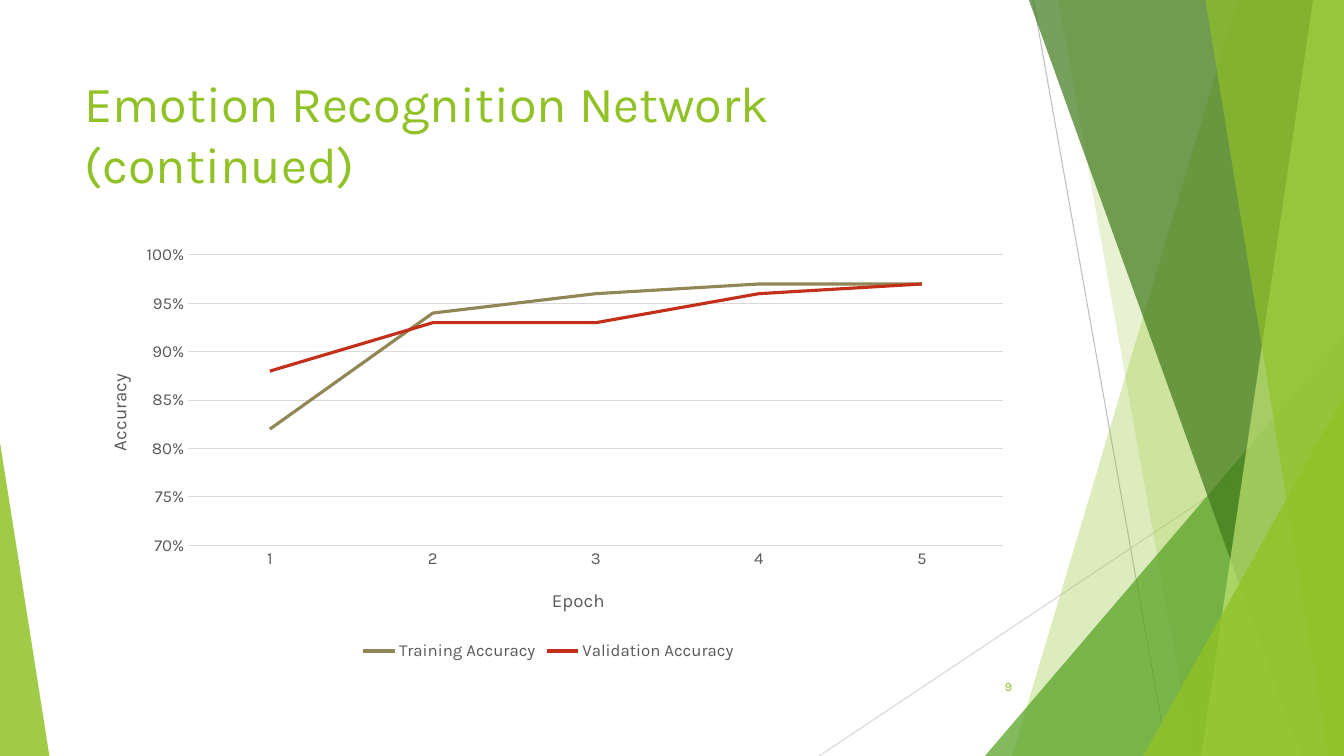
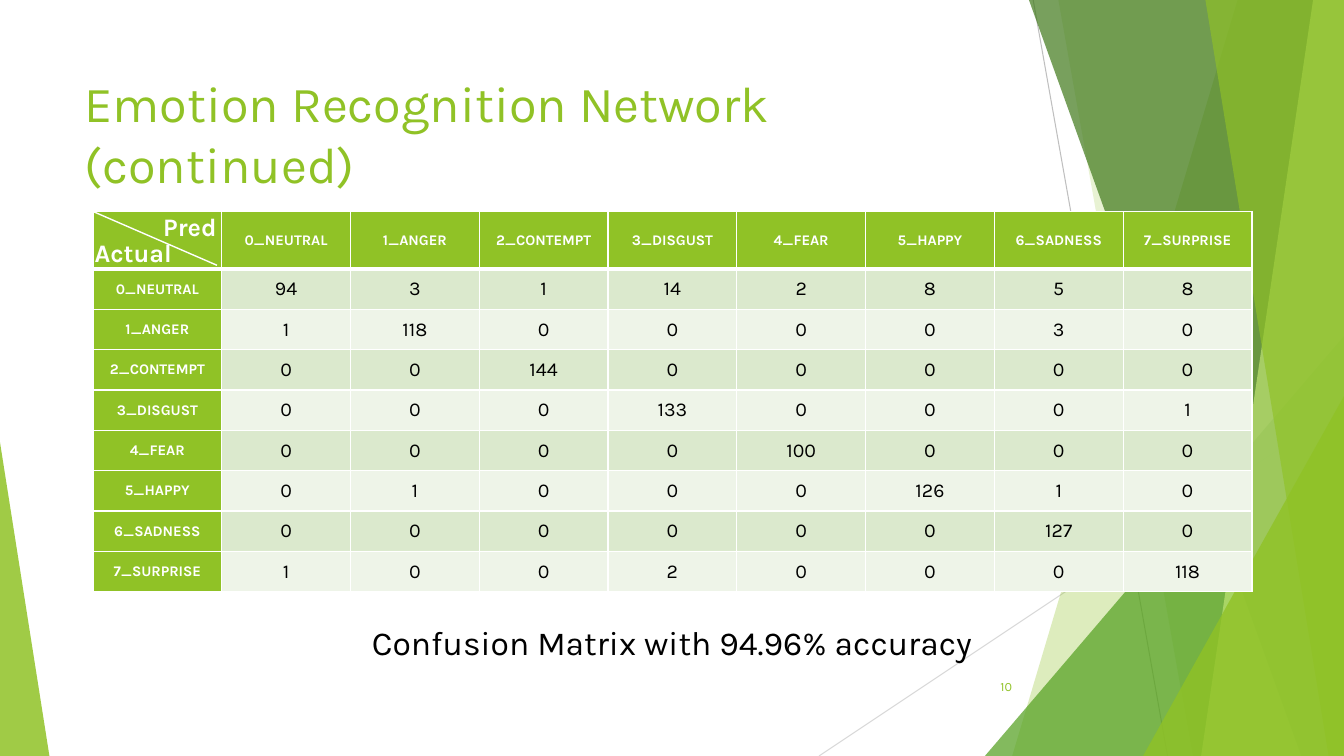
from pptx import Presentation
from pptx import util as u
from pptx.chart import data as cd
from pptx.dml import color
from pptx.enum import chart as ce, shapes, text
from pptx.oxml import parse_xml
from pptx.oxml.ns import nsdecls, qn

Pt = u.Pt
W, H = 960, 540
FONT = "Karla"
GREEN, LEAF, FOREST, LIME = "90C226", "54A021", "3F7819", "C0E474"
WHITE, BLACK, GRAY, RULE, EDGE = "FFFFFF", "000000", "595959", "D9D9D9", "BFBFBF"
BANDS = ("DBE9CD", "EEF4E8")
TITLE = "Emotion Recognition Network (continued)"
LABELS = ["0_NEUTRAL", "1_ANGER", "2_CONTEMPT", "3_DISGUST",
          "4_FEAR", "5_HAPPY", "6_SADNESS", "7_SURPRISE"]
MATRIX = [
    [94, 3, 1, 14, 2, 8, 5, 8],
    [1, 118, 0, 0, 0, 0, 3, 0],
    [0, 0, 144, 0, 0, 0, 0, 0],
    [0, 0, 0, 133, 0, 0, 0, 1],
    [0, 0, 0, 0, 100, 0, 0, 0],
    [0, 1, 0, 0, 0, 126, 1, 0],
    [0, 0, 0, 0, 0, 0, 127, 0],
    [1, 0, 0, 2, 0, 0, 0, 118],
]
ACCURACY = [
    ("Training Accuracy", (0.82, 0.94, 0.96, 0.97, 0.97), "918655"),
    ("Validation Accuracy", (0.88, 0.93, 0.93, 0.96, 0.97), "C42F1A"),
]


def rgb(value):
    return color.RGBColor.from_string(value)


def style_font(font, size, fill, bold=False):
    font.name, font.size, font.bold = FONT, Pt(size), bold
    font.color.rgb = rgb(fill)


def style_line(line, fill, width):
    line.color.rgb = rgb(fill)
    line.width = Pt(width)


def add_line(s, x1, y1, x2, y2, fill, width):
    c = s.shapes.add_connector(shapes.MSO_CONNECTOR.STRAIGHT, Pt(x1), Pt(y1), Pt(x2), Pt(y2))
    style_line(c.line, fill, width)
    c._element.spPr.append(parse_xml(f"<a:effectLst {nsdecls('a')}/>"))


def paint(sp, fill, opacity):
    sp.shadow.inherit = False
    sp.line.fill.background()
    sp.fill.solid()
    sp.fill.fore_color.rgb = rgb(fill)
    alpha = f"<a:alpha {nsdecls('a')} val='{opacity * 1000}'/>"
    sp._element.spPr.find(".//" + qn("a:srgbClr")).append(parse_xml(alpha))


def add_strip(s, top, bottom, fill, opacity):
    fb = s.shapes.build_freeform(Pt(top), 0)
    fb.add_line_segments([(Pt(x), Pt(y)) for x, y in ((W, 0), (W, H), (bottom, H))])
    paint(fb.convert_to_shape(), fill, opacity)


def add_corner(s, x, y, width, apex, fill, opacity):
    sp = s.shapes.add_shape(shapes.MSO_SHAPE.ISOSCELES_TRIANGLE,
                            Pt(x), Pt(y), Pt(width), Pt(H - y))
    sp.adjustments[0] = apex
    paint(sp, fill, opacity)


def add_text(s, content, x, y, w, h, size, fill, bold=False,
             align=text.PP_ALIGN.LEFT, anchor=text.MSO_ANCHOR.TOP):
    tf = s.shapes.add_textbox(Pt(x), Pt(y), Pt(w), Pt(h)).text_frame
    tf.word_wrap = True
    tf.vertical_anchor = anchor
    p = tf.paragraphs[0]
    p.text, p.alignment = content, align
    style_font(p.font, size, fill, bold)


def add_backdrop(s):
    add_line(s, 738, 0, 834, H, EDGE, 0.75)
    add_line(s, W, 290, 585, H, RULE, 0.75)
    add_strip(s, 884, 723, GREEN, 30)
    add_strip(s, 756, 852, GREEN, 20)
    add_corner(s, 703.5, 240, 256.5, 1, LEAF, 72)
    add_strip(s, 735, 929.5, FOREST, 70)
    add_strip(s, 938, 858, LIME, 70)
    add_strip(s, 861, 949, GREEN, 65)
    add_corner(s, 816.5, 283, 143.5, 1, GREEN, 80)
    add_corner(s, 0, 316, 35.3, 0, GREEN, 85)


def add_slide(prs, number):
    s = prs.slides.add_slide(prs.slide_layouts[6])
    add_backdrop(s)
    add_text(s, TITLE, 53.3, 48, 677, 104, 36, GREEN)
    add_text(s, str(number), 676, 476, 54, 29, 9, GREEN,
             align=text.PP_ALIGN.RIGHT, anchor=text.MSO_ANCHOR.MIDDLE)
    return s


def place(element, index, inner=False, **fractions):
    for old in element.findall(qn("c:layout")):
        element.remove(old)
    target = "<c:layoutTarget val='inner'/>" if inner else ""
    modes = "<c:xMode val='edge'/><c:yMode val='edge'/>"
    sizes = "".join(f"<c:{k} val='{v}'/>" for k, v in fractions.items())
    element.insert(index, parse_xml(
        f"<c:layout {nsdecls('c')}><c:manualLayout>{target}{modes}{sizes}"
        "</c:manualLayout></c:layout>"))


def style_axis(axis, title, x, y):
    tf = axis.axis_title.text_frame
    tf.text = title
    style_font(tf.paragraphs[0].font, 13.3, GRAY)
    place(axis.axis_title.element, 1, x=x, y=y)
    style_font(axis.tick_labels.font, 12, GRAY)
    axis.major_tick_mark = axis.minor_tick_mark = ce.XL_TICK_MARK.NONE
    return tf


def add_accuracy_chart(s):
    data = cd.CategoryChartData(number_format="0%")
    data.categories = ["1", "2", "3", "4", "5"]
    for name, values, _ in ACCURACY:
        data.add_series(name, values)
    chart = s.shapes.add_chart(ce.XL_CHART_TYPE.LINE, Pt(53.3), Pt(170),
                               Pt(677), Pt(305), data).chart
    style_font(chart.font, 10, BLACK)
    chart.has_title = False
    chart.has_legend = True
    chart.legend.position = ce.XL_LEGEND_POSITION.BOTTOM
    chart.legend.include_in_layout = False
    style_font(chart.legend.font, 12, GRAY)
    place(chart.element.find(".//" + qn("c:plotArea")), 0, inner=True,
          x=0.12, y=0.04, w=0.86, h=0.68)

    epochs, scale = chart.category_axis, chart.value_axis
    style_axis(epochs, "Epoch", 0.5, 0.81)
    style_line(epochs.format.line, RULE, 0.75)
    tf = style_axis(scale, "Accuracy", 0.03, 0.31)
    tf._txBody.bodyPr.set("rot", "-5400000")
    scale.format.line.fill.background()
    style_line(scale.major_gridlines.format.line, RULE, 0.75)
    scale.minimum_scale, scale.maximum_scale, scale.major_unit = 0.7, 1, 0.05
    scale.tick_labels.number_format = "0%"
    scale.tick_labels.number_format_is_linked = False

    for series, (_, _, fill) in zip(chart.plots[0].series, ACCURACY):
        series.smooth = False
        series.marker.style = ce.XL_MARKER_STYLE.NONE
        style_line(series.format.line, fill, 2.25)


def set_borders(cell, **widths):
    tcPr = cell._tc.get_or_add_tcPr()
    for i, side in enumerate("LRTB"):
        tcPr.insert(i, parse_xml(
            f"<a:ln{side} {nsdecls('a')} w='{Pt(widths.get(side, 1))}'><a:solidFill>"
            f"<a:srgbClr val='{WHITE}'/></a:solidFill></a:ln{side}>"))


def fill_cell(cell, content, fill, size, ink, bold):
    cell.fill.solid()
    cell.fill.fore_color.rgb = rgb(fill)
    cell.vertical_anchor = text.MSO_ANCHOR.MIDDLE
    p = cell.text_frame.paragraphs[0]
    p.text, p.alignment = str(content), text.PP_ALIGN.CENTER
    style_font(p.font, size, ink, bold)


def add_matrix(s):
    rows = [[""] + LABELS] + [[name] + counts for name, counts in zip(LABELS, MATRIX)]
    n = len(rows)
    table = s.shapes.add_table(n, n, Pt(66.4), Pt(151.2), Pt(92 * n), Pt(271.4)).table
    for i, row in enumerate(rows):
        table.columns[i].width = Pt(92)
        table.rows[i].height = Pt(28.8 if i else 41)
        for j, content in enumerate(row):
            cell = table.cell(i, j)
            if i and j:
                fill_cell(cell, content, BANDS[(i - 1) % 2], 14, BLACK, False)
            else:
                fill_cell(cell, content, GREEN, 10.5, WHITE, True)
            set_borders(cell, T=3 if i == 1 else 1, B=1 if i else 3)


def main():
    prs = Presentation()
    prs.slide_width, prs.slide_height = Pt(W), Pt(H)

    s = add_slide(prs, 9)
    add_accuracy_chart(s)

    s = add_slide(prs, 10)
    add_matrix(s)
    add_line(s, 64, 150, 155, 189.5, WHITE, 1)
    add_text(s, "Actual", 60.5, 166.3, 91, 29, 18, WHITE, bold=True)
    add_text(s, "Pred", 109.5, 147.6, 91, 29, 18, WHITE, bold=True)
    add_text(s, "Confusion Matrix with 94.96% accuracy", 253, 440.6, 454, 36, 24, BLACK,
             align=text.PP_ALIGN.CENTER)

    prs.save("out.pptx")


if __name__ == "__main__":
    main()
